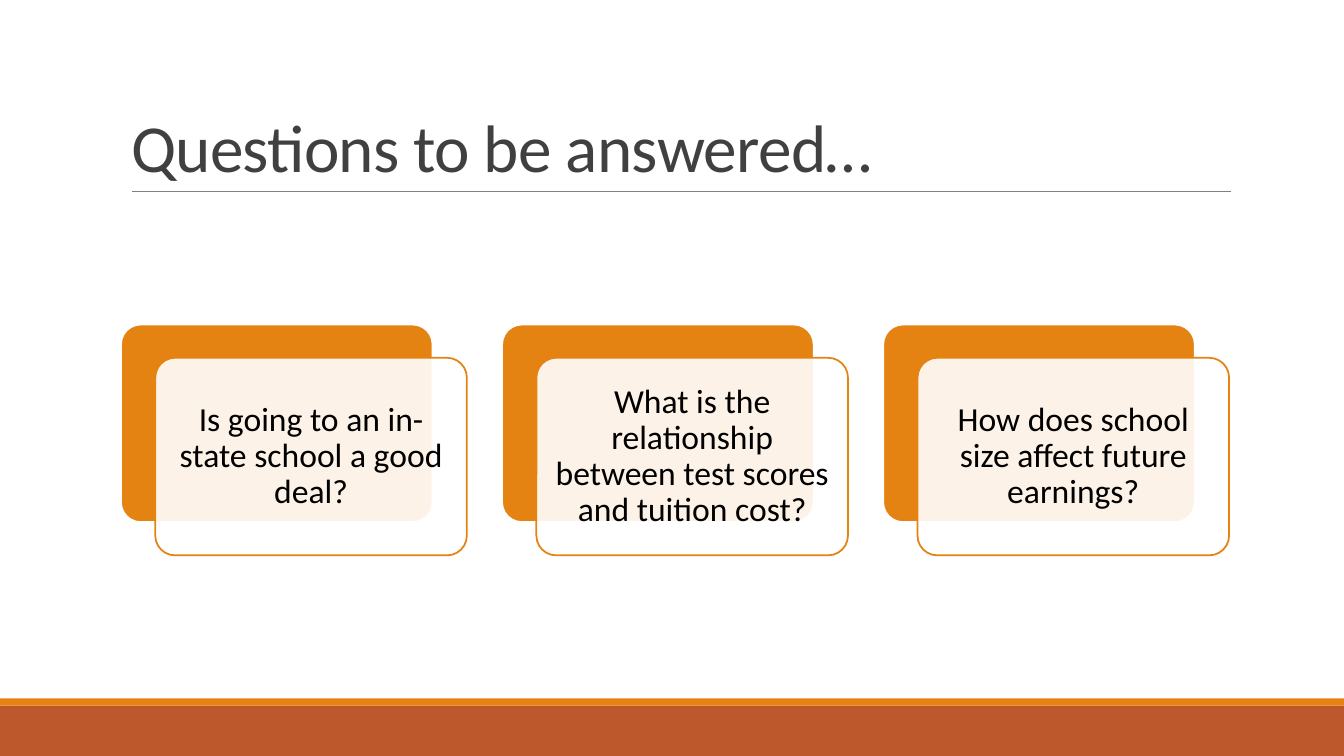
from lxml.etree import SubElement
from pptx import Presentation
from pptx.dml.color import RGBColor
from pptx.enum.shapes import MSO_CONNECTOR as Connector, MSO_SHAPE as Shape
from pptx.enum.text import MSO_ANCHOR as Anchor, PP_ALIGN as Align
from pptx.oxml.ns import qn
from pptx.util import Inches, Pt

WIDTH, HEIGHT = 13.33, 7.5
ORANGE, RUST, WHITE = "E48312", "BD582C", "FFFFFF"
CARD_LEFT, CARD_TOP, CARD_PITCH = 1.2, 3.22, 3.78
CARD_WIDTH, CARD_HEIGHT = 3.09, 1.96
FRONT_SHIFT_X, FRONT_SHIFT_Y = 0.34, 0.33
QUESTIONS = (
    "Is going to an in-state school a good deal?",
    "What is the relationship between test scores and tuition cost?",
    "How does school size affect future earnings?",
)


def paint(color_owner, color):
    """Give a fill a solid colour from a hex string."""
    color_owner.solid()
    color_owner.fore_color.rgb = RGBColor.from_string(color)


def style_text(paragraph, size, color, spacing):
    """Format the runs and line spacing of a paragraph."""
    paragraph.line_spacing = spacing
    for run in paragraph.runs:
        run.font.name = "Calibri"
        run.font.size = Pt(size)
        paint(run.font.fill, color)


def add_block(slide, kind, left, top, width, height, fill, outline=None):
    """Add a flat shape with an optional outline."""
    block = slide.shapes.add_shape(
        kind, Inches(left), Inches(top), Inches(width), Inches(height))
    block.shadow.inherit = False
    paint(block.fill, fill)
    if outline:
        paint(block.line.fill, outline)
        block.line.width = Pt(1.25)
    else:
        block.line.fill.background()
    return block


def add_card(slide, left, top, fill, outline):
    """Add one rounded card."""
    card = add_block(slide, Shape.ROUNDED_RECTANGLE, left, top,
                     CARD_WIDTH, CARD_HEIGHT, fill, outline)
    card.adjustments[0] = 0.1
    return card


def add_question(slide, column, question):
    """Add a solid card with a translucent question card in front."""
    left = CARD_LEFT + column * CARD_PITCH
    add_card(slide, left, CARD_TOP, ORANGE, WHITE)
    front = add_card(slide, left + FRONT_SHIFT_X, CARD_TOP + FRONT_SHIFT_Y,
                     WHITE, ORANGE)
    white = front.fill._xPr.find(qn("a:solidFill"))[0]
    SubElement(white, qn("a:alpha"), val="90000")
    frame = front.text_frame
    frame.text = question
    frame.word_wrap = True
    frame.vertical_anchor = Anchor.MIDDLE
    frame.margin_left = frame.margin_right = Inches(0.1)
    frame.margin_top = frame.margin_bottom = Inches(0.1)
    frame.paragraphs[0].alignment = Align.CENTER
    style_text(frame.paragraphs[0], 24, "000000", 0.9)


def add_heading(slide, wording):
    """Fill the title placeholder and draw the rule under it."""
    heading = slide.shapes.title
    heading.left, heading.top = Inches(1.2), Inches(0.31)
    heading.width, heading.height = Inches(11), Inches(1.59)
    frame = heading.text_frame
    frame.text = wording
    frame.word_wrap = True
    frame.vertical_anchor = Anchor.BOTTOM
    frame.paragraphs[0].alignment = Align.LEFT
    style_text(frame.paragraphs[0], 48, "404040", 0.85)
    for run in frame.paragraphs[0].runs:
        run.font._element.set("spc", "-50")
    rule = slide.shapes.add_connector(
        Connector.STRAIGHT, Inches(1.31), Inches(1.9), Inches(12.21), Inches(1.9))
    paint(rule.line.fill, "808080")
    rule.line.width = Pt(0.5)
    SubElement(rule._element.spPr, qn("a:effectLst"))


def main():
    """Build and save the slide."""
    deck = Presentation()
    deck.slide_width, deck.slide_height = Inches(WIDTH), Inches(HEIGHT)
    slide = deck.slides.add_slide(deck.slide_layouts[5])
    add_block(slide, Shape.RECTANGLE, 0, 7, WIDTH, 0.5, RUST)
    add_block(slide, Shape.RECTANGLE, 0, 6.93, WIDTH, 0.07, ORANGE)
    add_heading(slide, "Questions to be answered…")
    for column, question in enumerate(QUESTIONS):
        add_question(slide, column, question)
    deck.save("out.pptx")


if __name__ == "__main__":
    main()
